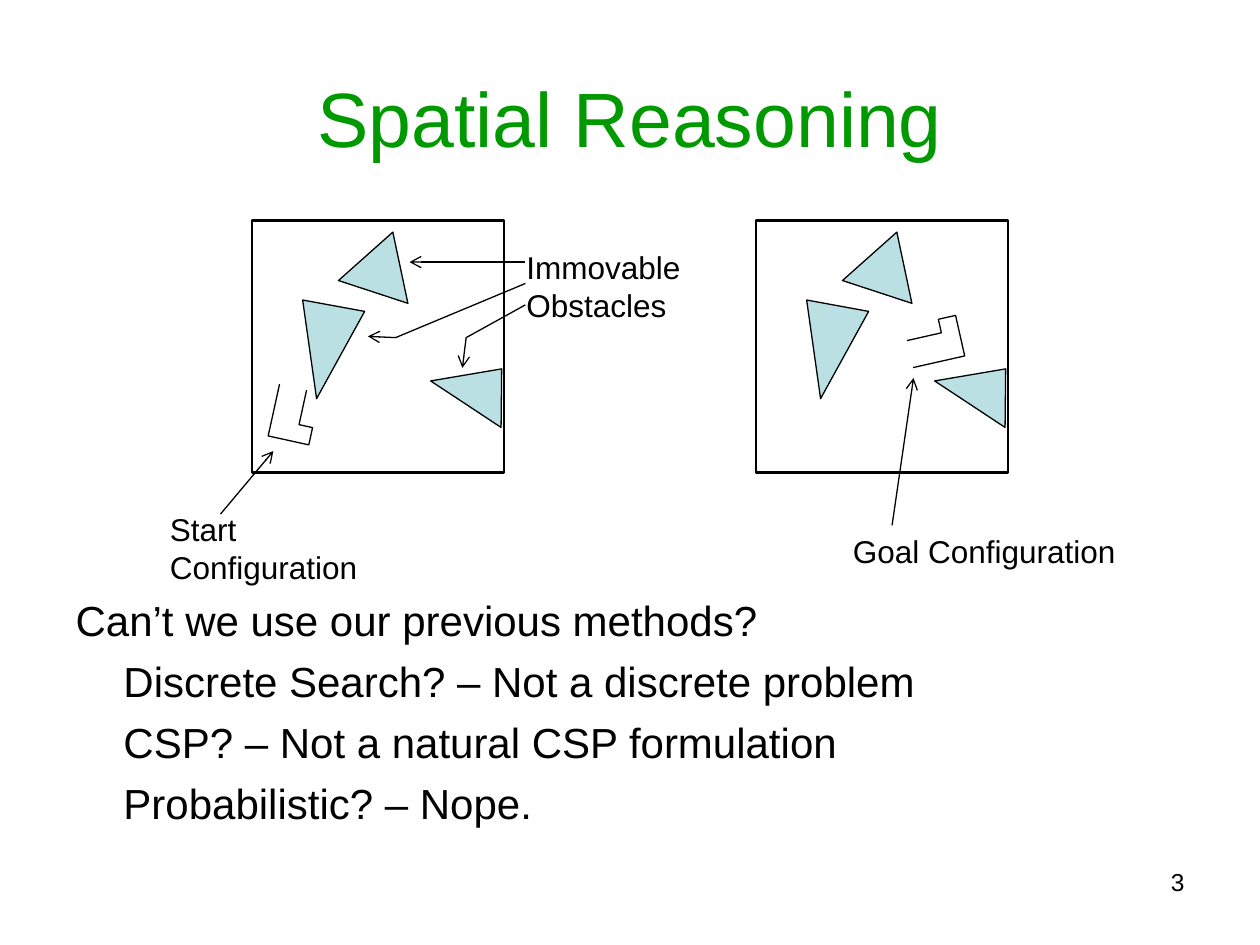
"""Build the Spatial Reasoning slide with its start and goal scenes."""
from lxml.etree import SubElement
from pptx import Presentation
from pptx.dml.color import RGBColor
from pptx.enum.shapes import MSO_CONNECTOR, MSO_SHAPE
from pptx.enum.text import MSO_ANCHOR, MSO_AUTO_SIZE, PP_ALIGN
from pptx.oxml.ns import qn
from pptx.util import Inches, Pt

BLACK = RGBColor(0x00, 0x00, 0x00)
GREEN = RGBColor(0x00, 0x99, 0x00)
TEAL = RGBColor(0xBB, 0xE0, 0xE3)
FONT = "Arial"

TITLE = "Spatial Reasoning"
BODY = [
    (0, "Can’t we use our previous methods?"),
    (0.38, "Discrete Search? – Not a discrete problem"),
    (0.38, "CSP? – Not a natural CSP formulation"),
    (0.38, "Probabilistic? – Nope."),
]
LABELS = [
    ("Start Configuration", (1.25, 4, 2, 0.7), 18, PP_ALIGN.LEFT),
    ("Immovable Obstacles", (4.08, 1.92, 1.5, 0.7), 18, PP_ALIGN.LEFT),
    ("Goal Configuration", (6.67, 4.17, 2.75, 0.4), 18, PP_ALIGN.LEFT),
    ("3", (4.83, 6.83, 4.67, 0.52), 14, PP_ALIGN.RIGHT),
]
ROOM_TOP, ROOM_SIZE = 1.75, 2
OBSTACLES = [
    ((0.75, 0.08, 0.58, 0.5), 18.2, 0.5),
    ((0.33, 0.67, 0.5, 0.75), 190.4, 0.5),
    ((1.47, 1.1, 0.67, 0.39), 33.4, 0.625),
]
PIECE = [(0, 0), (0, 0.42), (0.33, 0.42), (0.33, 0.28), (0.22, 0.28), (0.22, 0)]
SCENES = [
    (2, (0.17, 1.33), 12.4),
    (6, (1.25, 0.75), 257.3),
]
ARROWS = [
    [(1.75, 4.08), (2.17, 3.58)],
    [(4.17, 2.08), (3.25, 2.08)],
    [(4.17, 2.25), (3.14, 2.68), (2.92, 2.67)],
    [(4.17, 2.42), (3.7, 2.68), (3.67, 2.92)],
    [(7.08, 4.17), (7.25, 3)],
]


def inches(values):
    return [Inches(v) for v in values]


def style_line(s, width):
    s.line.color.rgb = BLACK
    s.line.width = Pt(width)


def style_text(p, size, color=BLACK):
    p.font.name, p.font.size, p.font.color.rgb = FONT, Pt(size), color


def add_preset(shapes, kind, box, width, fill=None):
    s = shapes.add_shape(kind, *inches(box))
    s.shadow.inherit = False
    style_line(s, width)
    if fill is None:
        s.fill.background()
    else:
        s.fill.solid()
        s.fill.fore_color.rgb = fill
    return s


def add_path(shapes, points):
    start, *rest = [inches(point) for point in points]
    builder = shapes.build_freeform(*start)
    builder.add_line_segments(rest, close=False)
    s = builder.convert_to_shape()
    s.shadow.inherit = False
    s.fill.background()
    style_line(s, 0.75)
    return s


def add_arrow(shapes, points):
    if len(points) == 2:
        start, end = points
        s = shapes.add_connector(MSO_CONNECTOR.STRAIGHT, *inches(start + end))
        style_line(s, 0.75)
        SubElement(s._element.spPr, qn("a:effectLst"))
    else:
        s = add_path(shapes, points)
    SubElement(s.line._get_or_add_ln(), qn("a:tailEnd"), type="arrow")


def add_scene(slide, left, piece_at, piece_rotation):
    shapes = slide.shapes.add_group_shape().shapes
    add_preset(shapes, MSO_SHAPE.RECTANGLE, (left, ROOM_TOP, ROOM_SIZE, ROOM_SIZE), 1.5)
    for (x, y, w, h), rotation, apex in OBSTACLES:
        box = (left + x, ROOM_TOP + y, w, h)
        s = add_preset(shapes, MSO_SHAPE.ISOSCELES_TRIANGLE, box, 0.75, TEAL)
        s.adjustments[0] = apex
        s.rotation = rotation
    x, y = left + piece_at[0], ROOM_TOP + piece_at[1]
    add_path(shapes, [(x + dx, y + dy) for dx, dy in PIECE]).rotation = piece_rotation


def add_label(slide, text, box, size, align):
    tf = slide.shapes.add_textbox(*inches(box)).text_frame
    tf.word_wrap = True
    p = tf.paragraphs[0]
    p.text, p.alignment = text, align
    style_text(p, size)


def fill_placeholder(sp, box, anchor):
    sp.left, sp.top, sp.width, sp.height = inches(box)
    tf = sp.text_frame
    tf.auto_size = MSO_AUTO_SIZE.NONE
    tf.vertical_anchor = anchor
    return tf


def main():
    prs = Presentation()
    prs.slide_width, prs.slide_height = inches((10, 7.5))
    slide = prs.slides.add_slide(prs.slide_layouts[1])
    title, body = slide.placeholders

    tf = fill_placeholder(title, (0.5, 0.3, 9, 1.25), MSO_ANCHOR.MIDDLE)
    tf.text = TITLE
    tf.paragraphs[0].alignment = PP_ALIGN.CENTER
    style_text(tf.paragraphs[0], 44, GREEN)

    tf = fill_placeholder(body, (0.5, 4.67, 9, 2.03), MSO_ANCHOR.TOP)
    tf.text = "\n".join(text for _, text in BODY)
    for p, (indent, _) in zip(tf.paragraphs, BODY):
        p.space_before = Pt(6)
        style_text(p, 24)
        pPr = p._p.get_or_add_pPr()
        pPr.set("marL", str(Inches(indent)))
        pPr.set("indent", "0")
        pPr.insert_element_before(pPr.makeelement(qn("a:buNone")), "a:tabLst", "a:defRPr")

    for scene in SCENES:
        add_scene(slide, *scene)
    for label in LABELS:
        add_label(slide, *label)
    for points in ARROWS:
        add_arrow(slide.shapes, points)
    prs.save("out.pptx")


if __name__ == "__main__":
    main()
